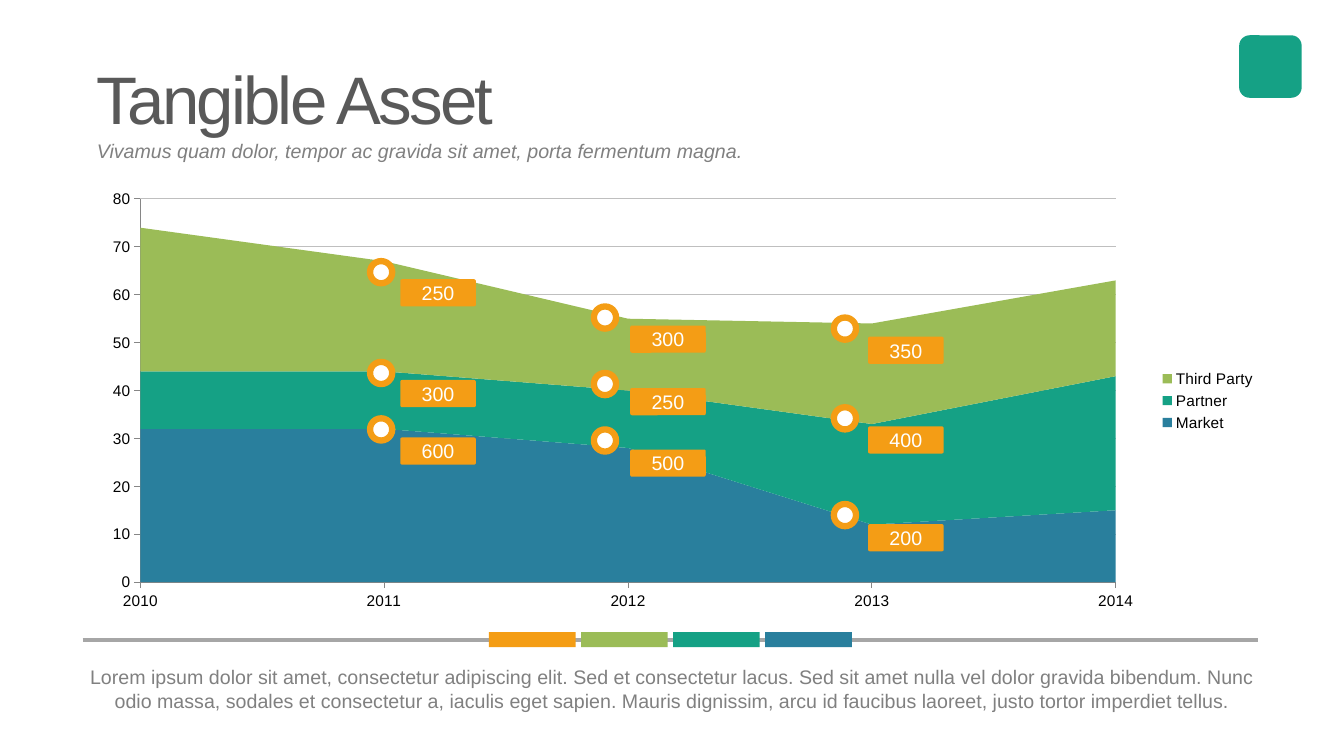
from dataclasses import dataclass

from lxml import etree
from pptx import Presentation
from pptx import util as u
from pptx.chart import data as chart_data
from pptx.dml import color
from pptx.enum import chart as ch
from pptx.enum import shapes, text
from pptx.oxml import ns


@dataclass(frozen=True)
class Theme:
    font: str = "Arial"
    orange: str = "F49D15"
    green: str = "9BBC57"
    teal: str = "15A185"
    blue: str = "297F9D"
    white: str = "FFFFFF"
    black: str = "000000"
    title_grey: str = "595959"
    text_grey: str = "808080"
    rule_grey: str = "A6A6A6"
    grid_grey: str = "BFBFBF"
    axis_grey: str = "868686"
    title_size: float = 48
    body_size: float = 14
    chart_size: float = 11


@dataclass(frozen=True)
class Series:
    name: str
    values: tuple[int, ...]
    fill: str


@dataclass(frozen=True)
class Callout:
    """A ring marker and the value tag beside it."""
    marker_top: float
    tag_top: float
    value: str


@dataclass(frozen=True)
class CalloutColumn:
    marker_left: float
    tag_left: float
    callouts: tuple[Callout, ...]


THEME = Theme()
YEARS = ("2010", "2011", "2012", "2013", "2014")
ASSETS = (
    Series("Market", (32, 32, 28, 12, 15), THEME.blue),
    Series("Partner", (12, 12, 12, 21, 28), THEME.teal),
    Series("Third Party", (30, 23, 15, 21, 20), THEME.green),
)
COLUMNS = (
    CalloutColumn(3.67, 3.97, (Callout(2.59, 2.77, "250"), Callout(3.59, 3.77, "300"),
                               Callout(4.15, 4.34, "600"))),
    CalloutColumn(5.89, 6.25, (Callout(3.04, 3.23, "300"), Callout(3.7, 3.85, "250"),
                               Callout(4.26, 4.46, "500"))),
    CalloutColumn(8.27, 8.61, (Callout(3.15, 3.34, "350"), Callout(4.04, 4.23, "400"),
                               Callout(5, 5.2, "200"))),
)
CHART_BOX = (0.89, 1.81, 11.67, 4.33)
PLOT_FRACTIONS = {"x": 0.043, "y": 0.038, "w": 0.829, "h": 0.878}


def rgb(value: str) -> color.RGBColor:
    return color.RGBColor.from_string(value)


def set_text(frame, content: str, *, size: float, fill: str, align=text.PP_ALIGN.LEFT,
             anchor=text.MSO_ANCHOR.MIDDLE, italic: bool = False, wrap: bool = True,
             spacing: float = 0) -> None:
    frame.word_wrap = wrap
    frame.vertical_anchor = anchor
    frame.margin_left = frame.margin_right = u.Inches(0.07)
    frame.margin_top = frame.margin_bottom = u.Inches(0.03)
    paragraph = frame.paragraphs[0]
    paragraph.alignment = align
    run = paragraph.add_run()
    run.text = content
    run.font.name = THEME.font
    run.font.size = u.Pt(size)
    run.font.italic = italic
    run.font.color.rgb = rgb(fill)
    if spacing:
        run.font._element.set("spc", str(int(spacing * 100)))


def add_text(parent, box: tuple[float, ...], content: str, **text_format) -> None:
    frame = parent.add_textbox(*map(u.Inches, box)).text_frame
    set_text(frame, content, **text_format)
    frame.auto_size = text.MSO_AUTO_SIZE.SHAPE_TO_FIT_TEXT


def add_block(parent, kind, box: tuple[float, ...], fill: str, outline: str = ""):
    block = parent.add_shape(kind, *map(u.Inches, box))
    block.shadow.inherit = False
    block.fill.solid()
    block.fill.fore_color.rgb = rgb(fill)
    if outline:
        block.line.color.rgb = rgb(outline)
        block.line.width = u.Pt(4.5)
    else:
        block.line.fill.background()
    return block


def add_asset_chart(parent) -> None:
    figures = chart_data.CategoryChartData()
    figures.categories = YEARS
    for asset in ASSETS:
        figures.add_series(asset.name, asset.values)
    chart = parent.add_chart(ch.XL_CHART_TYPE.AREA_STACKED,
                             *map(u.Inches, CHART_BOX), figures).chart
    chart.has_title = False
    chart.font.name = THEME.font
    chart.font.size = u.Pt(THEME.chart_size)
    chart.font.color.rgb = rgb(THEME.black)
    chart.has_legend = True
    chart.legend.position = ch.XL_LEGEND_POSITION.RIGHT
    chart.legend.include_in_layout = False

    plot = chart.plots[0]
    plot.vary_by_categories = False
    for series, asset in zip(plot.series, ASSETS):
        series.format.fill.solid()
        series.format.fill.fore_color.rgb = rgb(asset.fill)
        series.format.line.fill.background()

    years, amounts = chart.category_axis, chart.value_axis
    for axis in (years, amounts):
        axis.major_tick_mark = ch.XL_TICK_MARK.OUTSIDE
        axis.minor_tick_mark = ch.XL_TICK_MARK.NONE
        axis.format.line.color.rgb = rgb(THEME.axis_grey)
        axis.format.line.width = u.Pt(0.75)
    years.has_major_gridlines = False
    amounts.minimum_scale, amounts.maximum_scale, amounts.major_unit = 0, 80, 10
    amounts.has_major_gridlines = True
    amounts.major_gridlines.format.line.color.rgb = rgb(THEME.grid_grey)
    amounts.major_gridlines.format.line.width = u.Pt(0.75)

    # Areas start on the axis, and the plot leaves room for the legend
    amounts._element.find(ns.qn("c:crossBetween")).set("val", "midCat")
    plot_area = chart._chartSpace.find(".//" + ns.qn("c:plotArea"))
    layout = plot_area.find(ns.qn("c:layout"))
    if layout is None:
        layout = etree.Element(ns.qn("c:layout"))
        plot_area.insert(0, layout)
    manual = etree.SubElement(layout, ns.qn("c:manualLayout"))
    settings = {"layoutTarget": "inner", "xMode": "edge", "yMode": "edge", **PLOT_FRACTIONS}
    for tag, value in settings.items():
        etree.SubElement(manual, ns.qn(f"c:{tag}")).set("val", str(value))


def add_divider(parent) -> None:
    group = parent.add_group_shape().shapes
    rule = group.add_connector(shapes.MSO_CONNECTOR.STRAIGHT,
                               *map(u.Inches, (0.82, 6.35, 12.48, 6.35)))
    rule.line.color.rgb = rgb(THEME.rule_grey)
    rule.line.width = u.Pt(2.75)
    etree.SubElement(rule._element.spPr, ns.qn("a:effectLst"))
    for i, fill in enumerate((THEME.orange, THEME.green, THEME.teal, THEME.blue)):
        add_block(group, shapes.MSO_SHAPE.RECTANGLE, (4.85 + i * 0.913, 6.27, 0.86, 0.15), fill)


def add_callouts(parent) -> None:
    group = parent.add_group_shape().shapes
    for column in COLUMNS:
        for callout in column.callouts:
            add_block(group, shapes.MSO_SHAPE.OVAL,
                      (column.marker_left, callout.marker_top, 0.22, 0.22),
                      THEME.white, THEME.orange)
            tag = add_block(group, shapes.MSO_SHAPE.ROUNDED_RECTANGLE,
                            (column.tag_left, callout.tag_top, 0.75, 0.27), THEME.orange)
            tag.adjustments[0] = 0.07
            set_text(tag.text_frame, callout.value, size=THEME.body_size,
                     fill=THEME.white, align=text.PP_ALIGN.CENTER)


def main() -> None:
    deck = Presentation()
    deck.slide_width, deck.slide_height = u.Inches(13.33), u.Inches(7.5)
    parts = deck.slides.add_slide(deck.slide_layouts[6]).shapes

    # Corner mark and chart
    add_block(parts, shapes.MSO_SHAPE.ROUNDED_RECTANGLE, (12.29, 0.35, 0.62, 0.62), THEME.teal)
    add_asset_chart(parts)

    # Heading, subtitle and closing text
    add_text(parts, (0.89, 0.54, 4.09, 0.88), "Tangible Asset", size=THEME.title_size,
             fill=THEME.title_grey, anchor=text.MSO_ANCHOR.TOP, wrap=False, spacing=-2)
    add_text(parts, (0.89, 1.34, 7, 0.3),
             "Vivamus quam dolor, tempor ac gravida sit amet, porta fermentum magna.",
             size=THEME.body_size, fill=THEME.text_grey, italic=True)
    add_text(parts, (0.67, 6.56, 12, 0.54),
             "Lorem ipsum dolor sit amet, consectetur adipiscing elit. Sed et consectetur lacus. "
             "Sed sit amet nulla vel dolor gravida bibendum. Nunc odio massa, sodales et "
             "consectetur a, iaculis eget sapien. Mauris dignissim, arcu id faucibus laoreet, "
             "justo tortor imperdiet tellus.",
             size=THEME.body_size, fill=THEME.text_grey, align=text.PP_ALIGN.CENTER)

    # Colour divider and value callouts
    add_divider(parts)
    add_callouts(parts)
    deck.save("out.pptx")


if __name__ == "__main__":
    main()
